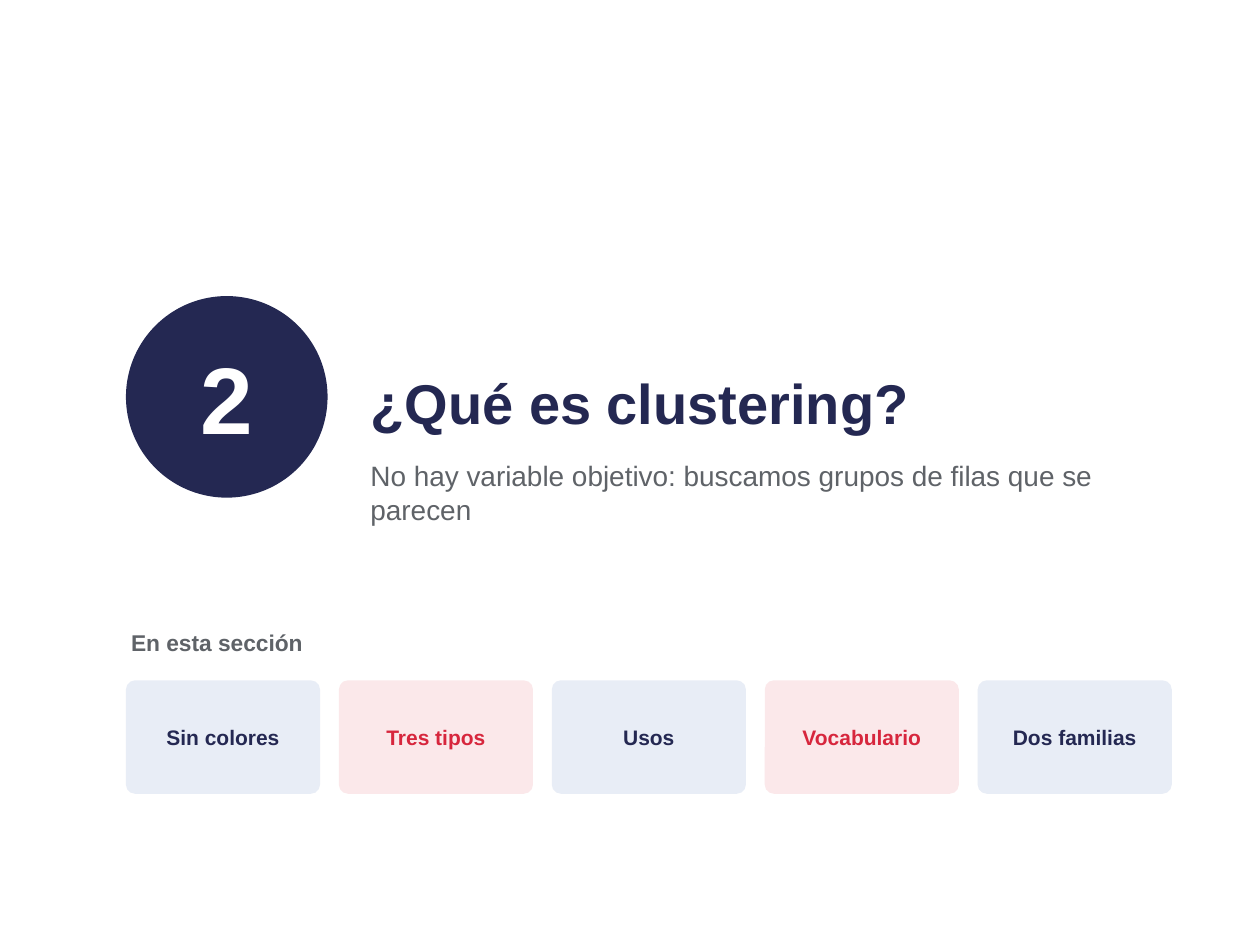
from pptx import Presentation
from pptx.dml.color import RGBColor
from pptx.enum.shapes import MSO_SHAPE as Shape
from pptx.enum.text import MSO_ANCHOR as Anchor, MSO_AUTO_SIZE as AutoSize, PP_ALIGN as Align
from pptx.util import Inches, Pt

NAVY, RED, GRAY, WHITE = "242852", "D7263D", "5F6368", "FFFFFF"
PALE_BLUE, PALE_RED = "E8EDF6", "FBE8EA"
TOPICS = ["Sin colores", "Tres tipos", "Usos", "Vocabulario", "Dos familias"]
LEFT, CARD_WIDTH, CARD_GAP = 1, 1.54, 0.15


def paint(color_format, color):
    color_format.rgb = RGBColor.from_string(color)


class SectionPage:
    font = "Arial"

    def __init__(self, page):
        self.page = page

    def fill_text(self, box, text, size, color, bold, align, anchor, inset, after):
        frame = box.text_frame
        frame.word_wrap = True
        frame.vertical_anchor = anchor
        frame.margin_left = frame.margin_right = Inches(inset)
        frame.margin_top = frame.margin_bottom = Inches(inset)
        para = frame.paragraphs[0]
        para.text = text
        para.alignment = align
        para.space_after = Pt(after)
        para.font.name = self.font
        para.font.size = Pt(size)
        para.font.bold = bold
        paint(para.font.color, color)

    def text(self, left, top, width, height, text, size, color, bold=True, anchor=Anchor.TOP):
        box = self.page.shapes.add_textbox(*map(Inches, (left, top, width, height)))
        self.fill_text(box, text, size, color, bold, Align.LEFT, anchor, 0.04, 4)
        box.text_frame.auto_size = AutoSize.SHAPE_TO_FIT_TEXT

    def shape(self, kind, left, top, width, height, fill, text, size, color):
        box = self.page.shapes.add_shape(kind, *map(Inches, (left, top, width, height)))
        box.shadow.inherit = False
        box.fill.solid()
        paint(box.fill.fore_color, fill)
        box.line.fill.background()
        self.fill_text(box, text, size, color, True, Align.CENTER, Anchor.MIDDLE, 0.08, 3)
        return box

    def card(self, left, text, fill, color):
        box = self.shape(Shape.ROUNDED_RECTANGLE, left, 5.4, CARD_WIDTH, 0.9, fill, text, 12, color)
        box.adjustments[0] = 0.08


def main():
    deck = Presentation()
    deck.slide_width, deck.slide_height = Inches(10), Inches(7.5)
    section = SectionPage(deck.slides.add_slide(deck.slide_layouts[6]))

    section.text(LEFT, 4.95, 8.3, 0.4, "En esta sección", 13, GRAY)
    schemes = [(PALE_BLUE, NAVY), (PALE_RED, RED)]
    for index, topic in enumerate(TOPICS):
        section.card(LEFT + index * (CARD_WIDTH + CARD_GAP), topic, *schemes[index % 2])

    section.shape(Shape.OVAL, LEFT, 2.35, 1.6, 1.6, NAVY, "2", 54, WHITE)
    section.text(2.9, 2, 6.4, 1.5, "¿Qué es clustering?", 32, NAVY, anchor=Anchor.BOTTOM)
    section.text(2.9, 3.6, 6.4, 1.2,
                 "No hay variable objetivo: buscamos grupos de filas que se parecen",
                 16, GRAY, bold=False)
    deck.save("out.pptx")


if __name__ == "__main__":
    main()
